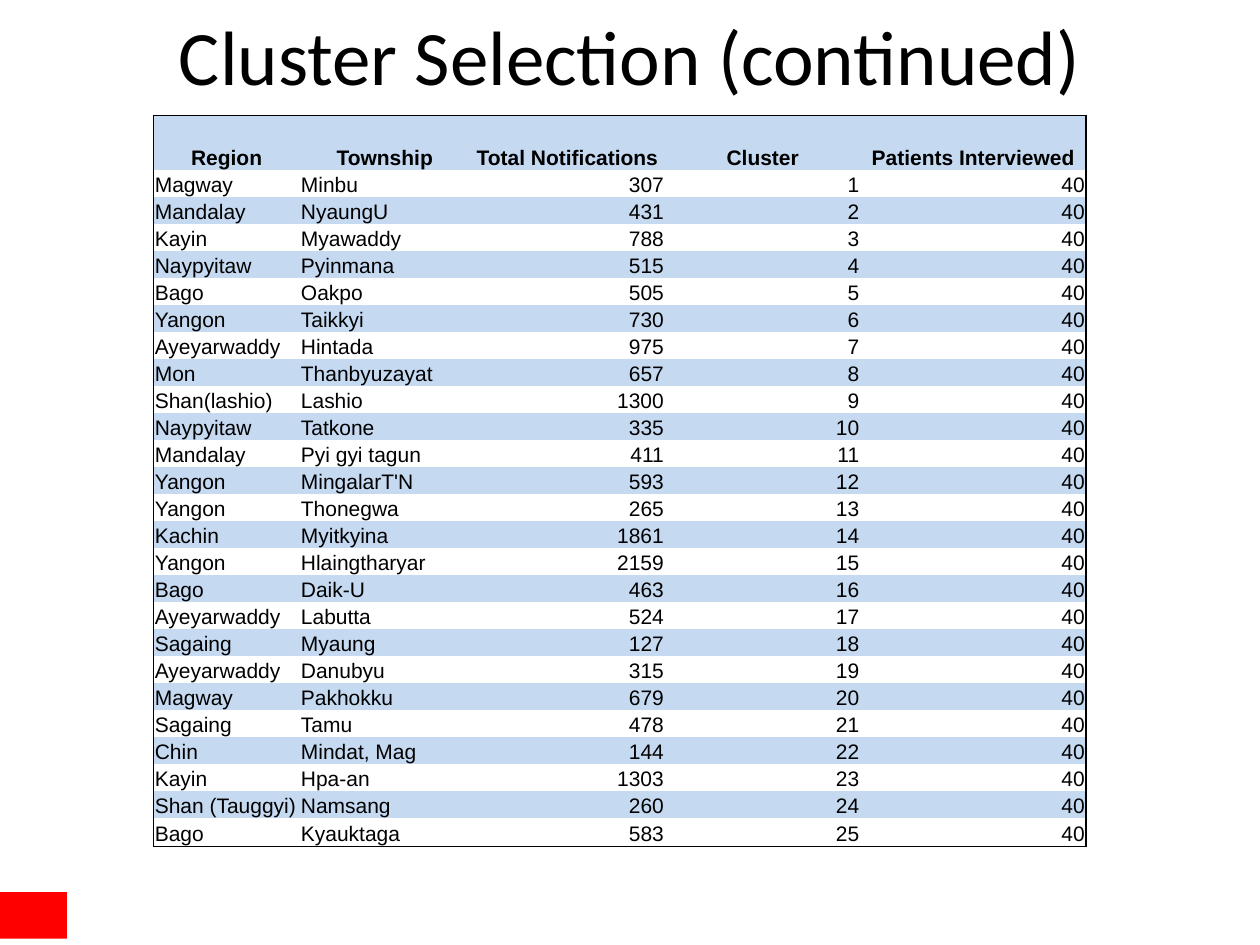
from pptx import Presentation
from pptx.util import Pt
from pptx.dml.color import RGBColor
from pptx.enum.shapes import MSO_SHAPE
from pptx.enum.text import MSO_ANCHOR, PP_ALIGN
from lxml import etree

LEFT, CENTER, RIGHT = PP_ALIGN.LEFT, PP_ALIGN.CENTER, PP_ALIGN.RIGHT
MIDDLE, BOTTOM = MSO_ANCHOR.MIDDLE, MSO_ANCHOR.BOTTOM
RECT = MSO_SHAPE.RECTANGLE
A = "http://schemas.openxmlformats.org/drawingml/2006/main"
NO_STYLE = "{2D5ABB26-0587-4C30-8999-92F81FD0307C}"
BLACK, RED, BAND = "000000", "FF0000", "C5D9F1"

# Content
TITLE = "Cluster Selection (continued)"
HEADERS = ["Region", "Township", "Total Notifications", "Cluster", "Patients Interviewed"]
PATIENTS = 40
TOWNSHIPS = [
    ("Magway", "Minbu", 307),
    ("Mandalay", "NyaungU", 431),
    ("Kayin", "Myawaddy", 788),
    ("Naypyitaw", "Pyinmana", 515),
    ("Bago", "Oakpo", 505),
    ("Yangon", "Taikkyi", 730),
    ("Ayeyarwaddy", "Hintada", 975),
    ("Mon", "Thanbyuzayat", 657),
    ("Shan(lashio)", "Lashio", 1300),
    ("Naypyitaw", "Tatkone", 335),
    ("Mandalay", "Pyi gyi tagun", 411),
    ("Yangon", "MingalarT'N", 593),
    ("Yangon", "Thonegwa", 265),
    ("Kachin", "Myitkyina", 1861),
    ("Yangon", "Hlaingtharyar", 2159),
    ("Bago", "Daik-U", 463),
    ("Ayeyarwaddy", "Labutta", 524),
    ("Sagaing", "Myaung", 127),
    ("Ayeyarwaddy", "Danubyu", 315),
    ("Magway", "Pakhokku", 679),
    ("Sagaing", "Tamu", 478),
    ("Chin", "Mindat, Mag", 144),
    ("Kayin", "Hpa-an", 1303),
    ("Shan (Tauggyi)", "Namsang", 260),
    ("Bago", "Kyauktaga", 583),
]

# Layout
COL_WIDTHS = [83.5, 97.2, 111.6, 111.6, 128.9]
COL_ALIGNS = [LEFT, LEFT, RIGHT, RIGHT, RIGHT]
ROW_HEIGHTS = [30.9] + [15.45] * (len(TOWNSHIPS) - 1) + [16]
FOOTER_BLOCK = (0, 509.8, 38.2, 26.6)


def rgb(value):
    return RGBColor.from_string(value)


def format_paragraph(p, font, size, bold=False, align=LEFT):
    p.alignment = align
    for r in p.runs:
        r.font.name, r.font.size, r.font.bold = font, Pt(size), bold
        r.font.color.rgb = rgb(BLACK)


def add_border(cell, side):
    ln = etree.SubElement(cell._tc.get_or_add_tcPr(), f"{{{A}}}ln{side}", w=str(Pt(1)))
    fill = etree.SubElement(ln, f"{{{A}}}solidFill")
    etree.SubElement(fill, f"{{{A}}}srgbClr", val=BLACK)


def fill_cell(cell, text, row, col):
    header = row == 0
    cell.margin_left = cell.margin_right = cell.margin_top = Pt(0.72)
    cell.margin_bottom = Pt(0)
    cell.vertical_anchor = BOTTOM
    cell.text = str(text)
    format_paragraph(cell.text_frame.paragraphs[0], "Arial", 12, bold=header,
                     align=CENTER if header else COL_ALIGNS[col])
    # Outer frame only; borders must precede the fill
    edges = {"L": col == 0, "R": col == len(COL_WIDTHS) - 1,
             "T": header, "B": row == len(ROW_HEIGHTS) - 1}
    for side, on_edge in edges.items():
        if on_edge:
            add_border(cell, side)
    if row % 2 == 0:
        cell.fill.solid()
        cell.fill.fore_color.rgb = rgb(BAND)
    else:
        cell.fill.background()


def add_cluster_table(s):
    rows = [HEADERS] + [(*t, n, PATIENTS) for n, t in enumerate(TOWNSHIPS, 1)]
    frame = s.shapes.add_table(len(rows), len(HEADERS), Pt(87.8), Pt(66),
                               Pt(sum(COL_WIDTHS)), Pt(sum(ROW_HEIGHTS)))
    table = frame.table
    table.first_row = table.horz_banding = False
    table._tbl.tblPr.find(f"{{{A}}}tableStyleId").text = NO_STYLE
    for column, width in zip(table.columns, COL_WIDTHS):
        column.width = Pt(width)
    for i, (values, height) in enumerate(zip(rows, ROW_HEIGHTS)):
        table.rows[i].height = Pt(height)
        for j, value in enumerate(values):
            fill_cell(table.cell(i, j), value, i, j)


def main():
    prs = Presentation()
    prs.slide_width, prs.slide_height = Pt(720), Pt(540)
    s = prs.slides.add_slide(prs.slide_layouts[6])

    # Plain footer block
    sp = s.shapes.add_shape(RECT, *map(Pt, FOOTER_BLOCK))
    sp.shadow.inherit = False
    sp.fill.solid()
    sp.fill.fore_color.rgb = rgb(RED)
    sp.line.fill.background()

    # Title
    tf = s.shapes.add_textbox(Pt(36), Pt(-13.7), Pt(648), Pt(90)).text_frame
    tf.word_wrap = True
    tf.vertical_anchor = MIDDLE
    tf.text = TITLE
    format_paragraph(tf.paragraphs[0], "Calibri", 44, align=CENTER)

    add_cluster_table(s)
    prs.save("out.pptx")


if __name__ == "__main__":
    main()
